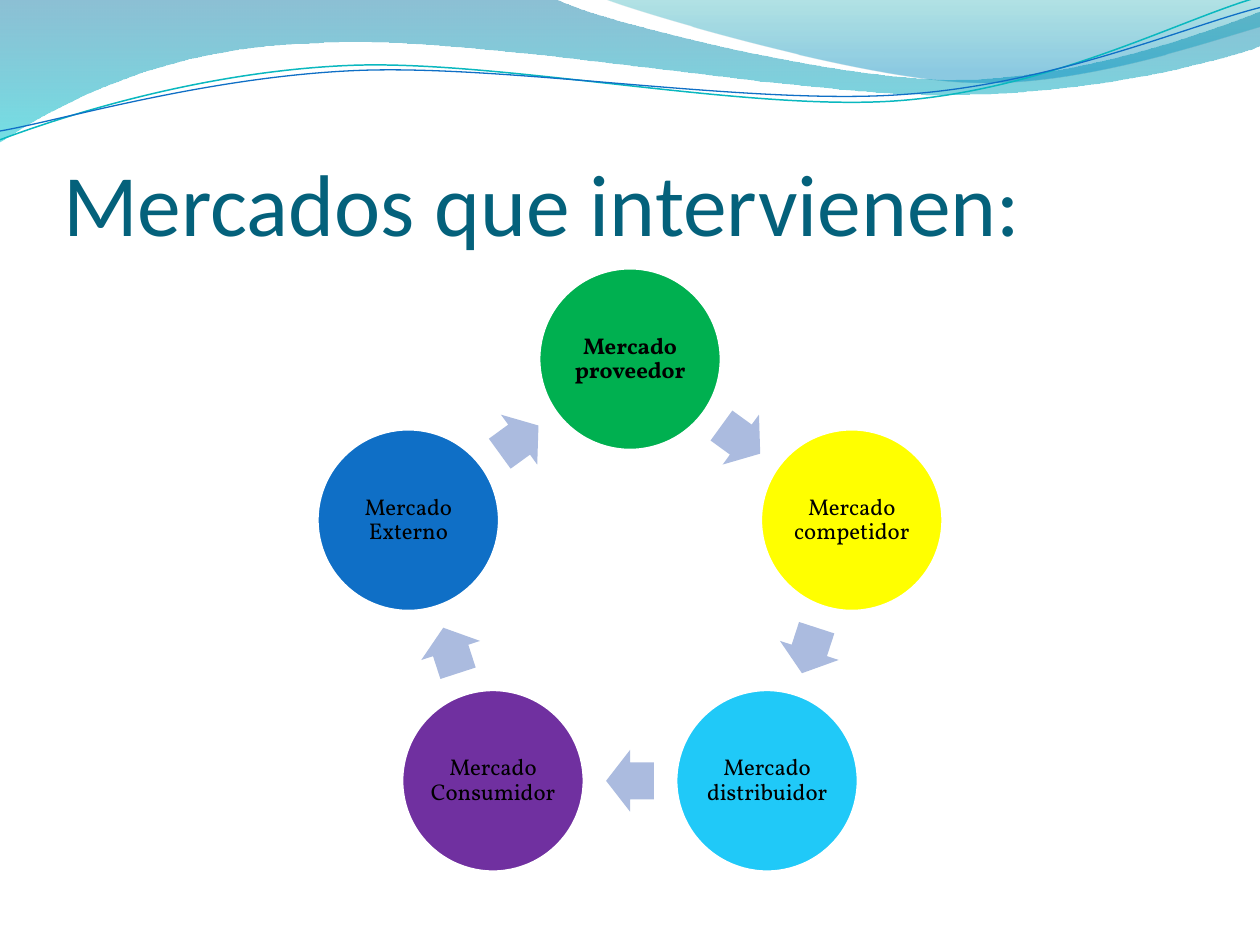
import math

from lxml import etree
from pptx import Presentation
from pptx.dml.color import RGBColor
from pptx.enum.shapes import MSO_SHAPE
from pptx.enum.text import MSO_ANCHOR, MSO_AUTO_SIZE, PP_ALIGN
from pptx.oxml.ns import qn
from pptx.util import Inches, Pt

OVAL, ARROW = MSO_SHAPE.OVAL, MSO_SHAPE.RIGHT_ARROW
MIDDLE, BOTTOM = MSO_ANCHOR.MIDDLE, MSO_ANCHOR.BOTTOM
LEFT, CENTER = PP_ALIGN.LEFT, PP_ALIGN.CENTER
W, H = 10, 7.5

COLORS = {
    "title": "04617B", "text": "000000", "outline": "FFFFFF", "arrow": "ABBBDF",
    "teal_line": "0AB8BF", "blue_line": "0F6FC6",
    "green": "00B050", "yellow": "FFFF00", "sky": "20C9F8",
    "purple": "7030A0", "blue": "0F6FC6",
    "wave_top": "0074A1", "wave_bottom": "00C6CF",
    "crest_top": "00A1A9", "crest_bottom": "008BBF",
}

# Each wave is a start point followed by segments: 2 numbers for a line, 6 for a curve.
# Gradient stops are (position, colour, opacity in percent).
FILLED_WAVES = [
    ([(0, 0), (4.4, -0.01), (4.76, 0.17, 6.64, 0.63, 7.58, 0.63),
      (8.53, 0.63, 9.58, 0.26, 10, 0.09), (10.01, 0.36),
      (9.83, 0.44, 8.7, 0.76, 7.46, 0.75), (6.22, 0.75, 3.82, 0.28, 2.57, 0.34),
      (1.29, 0.36, 0.46, 0.83, -0.01, 1.13), (0, 0)],
     [(0, "wave_top", 45), (1, "wave_bottom", 55)]),
    ([(4.79, -0.01), (5.09, 0.11, 6.82, 0.62, 7.69, 0.65),
      (8.56, 0.69, 9.61, 0.32, 10, 0.21), (10, 0), (4.79, -0.01)],
     [(0, "crest_top", 30), (0.8, "crest_bottom", 45)]),
]
LINE_WAVES = [
    ([(0, 1.11), (0.48, 0.93, 1.58, 0.57, 2.77, 0.52),
      (3.95, 0.47, 5.93, 0.89, 7.13, 0.8), (8.33, 0.71, 9.38, 0.15, 9.98, -0.02)],
     "teal_line", 0.85),
    ([(0, 1.04), (0.47, 0.96, 1.64, 0.61, 2.83, 0.56),
      (4.03, 0.51, 5.97, 0.84, 7.17, 0.75), (8.36, 0.67, 9.41, 0.21, 10, 0.06)],
     "blue_line", 0.75),
]
MARKETS = [
    ("Mercado proveedor", "green"),
    ("Mercado competidor", "yellow"),
    ("Mercado distribuidor", "sky"),
    ("Mercado Consumidor", "purple"),
    ("Mercado Externo", "blue"),
]


def rgb(name):
    return RGBColor.from_string(COLORS[name])


def add_wave(slide, segments, close):
    """Build the outline from its control points, then bend each curved segment."""
    start, *rest = segments
    points = [(Inches(seg[i]), Inches(seg[i + 1]))
              for seg in rest for i in range(0, len(seg), 2)]
    builder = slide.shapes.build_freeform(*map(Inches, start))
    builder.add_line_segments(points, close=close)
    s = builder.convert_to_shape()
    s.shadow.inherit = False

    lines = iter(list(s._element.spPr.iter(qn("a:lnTo"))))
    for seg in rest:
        line = next(lines)
        if len(seg) == 6:
            line.addprevious(curve := etree.Element(qn("a:cubicBezTo")))
            for part in (line, next(lines), next(lines)):
                curve.append(part[0])
                part.getparent().remove(part)
    return s


def set_gradient(s, stops):
    """Fill from top to bottom with partly transparent stops."""
    s.fill.gradient()
    s.fill.gradient_angle = 270
    for stop, (position, color, _) in zip(s.fill.gradient_stops, stops):
        stop.position = position
        stop.color.rgb = rgb(color)
    for clr, (_, _, opacity) in zip(s._element.spPr.iter(qn("a:srgbClr")), stops):
        etree.SubElement(clr, qn("a:alpha")).set("val", str(opacity * 1000))


def add_header_waves(slide):
    for segments, stops in FILLED_WAVES:
        s = add_wave(slide, segments, close=True)
        set_gradient(s, stops)
        s.line.fill.background()
    for segments, color, width in LINE_WAVES:
        s = add_wave(slide, segments, close=False)
        s.fill.background()
        s.line.color.rgb = rgb(color)
        s.line.width = Pt(width)


def format_text(s, text, size, font, color, align, bold=False):
    tf = s.text_frame
    tf.word_wrap = True
    tf.text = text
    p = tf.paragraphs[0]
    p.alignment = align
    r = p.runs[0]
    r.font.size, r.font.name, r.font.bold = Pt(size), font, bold
    r.font.color.rgb = rgb(color)
    return tf


def set_title(slide, left, top, width, height):
    s = slide.shapes.title
    s.left, s.top, s.width, s.height = map(Inches, (left, top, width, height))
    tf = format_text(s, "Mercados que intervienen:", 50, "Calibri", "title", LEFT)
    tf.auto_size = MSO_AUTO_SIZE.NONE
    tf.vertical_anchor = BOTTOM
    tf.margin_left = tf.margin_right = tf.margin_bottom = 0
    tf.margin_top = Inches(0.05)


def add_centered(slide, kind, cx, cy, width, height, color):
    s = slide.shapes.add_shape(kind, Inches(cx - width / 2), Inches(cy - height / 2),
                               Inches(width), Inches(height))
    s.shadow.inherit = False
    s.fill.solid()
    s.fill.fore_color.rgb = rgb(color)
    return s


def add_cycle(slide, cx, cy, radius, diameter):
    """Place the markets clockwise from the top, with an arrow after each."""
    step = 360 / len(MARKETS)
    arrow_radius = radius * math.cos(math.radians(step / 2))

    def on_ring(r, degrees):
        a = math.radians(degrees)
        return cx + r * math.sin(a), cy - r * math.cos(a)

    for i, (text, color) in enumerate(MARKETS):
        s = add_centered(slide, OVAL, *on_ring(radius, i * step), diameter, diameter, color)
        s.line.color.rgb = rgb("outline")
        s.line.width = Pt(2)
        tf = format_text(s, text, 13, "Vollkorn", "text", CENTER, bold=i == 0)
        tf.vertical_anchor = MIDDLE
        tf.margin_left = tf.margin_right = 0
        tf.margin_top = tf.margin_bottom = Inches(0.02)
        tf.paragraphs[0].line_spacing = 0.9

        angle = (i + 0.5) * step
        s = add_centered(slide, ARROW, *on_ring(arrow_radius, angle), 0.38, 0.49, "arrow")
        s.line.fill.background()
        s.adjustments[0], s.adjustments[1] = 0.6, 0.5
        s.rotation = angle


def main():
    prs = Presentation()
    prs.slide_width, prs.slide_height = Inches(W), Inches(H)
    slide = prs.slides.add_slide(prs.slide_layouts[5])
    add_header_waves(slide)
    set_title(slide, W * 0.05, 0.77, W * 0.9, H / 6)
    add_cycle(slide, W / 2, 4.7, 1.85, 1.45)
    prs.save("out.pptx")


if __name__ == "__main__":
    main()
